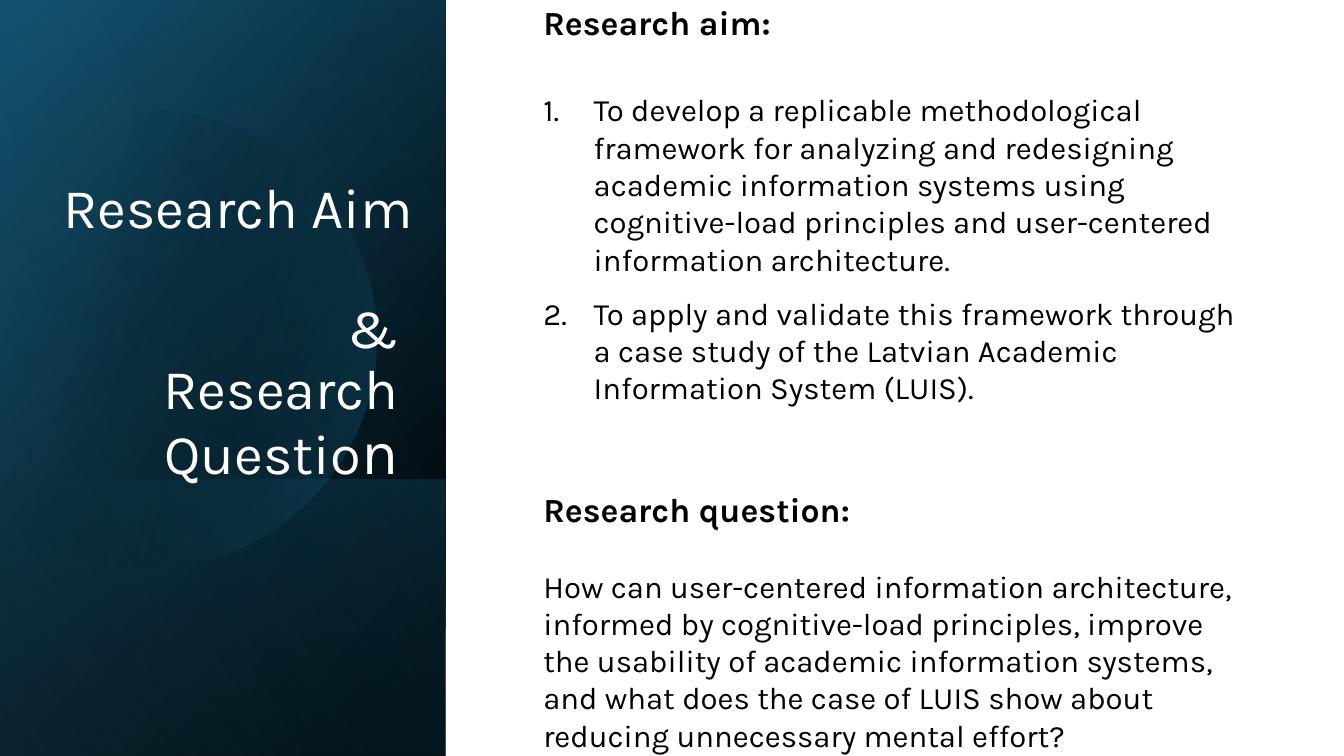
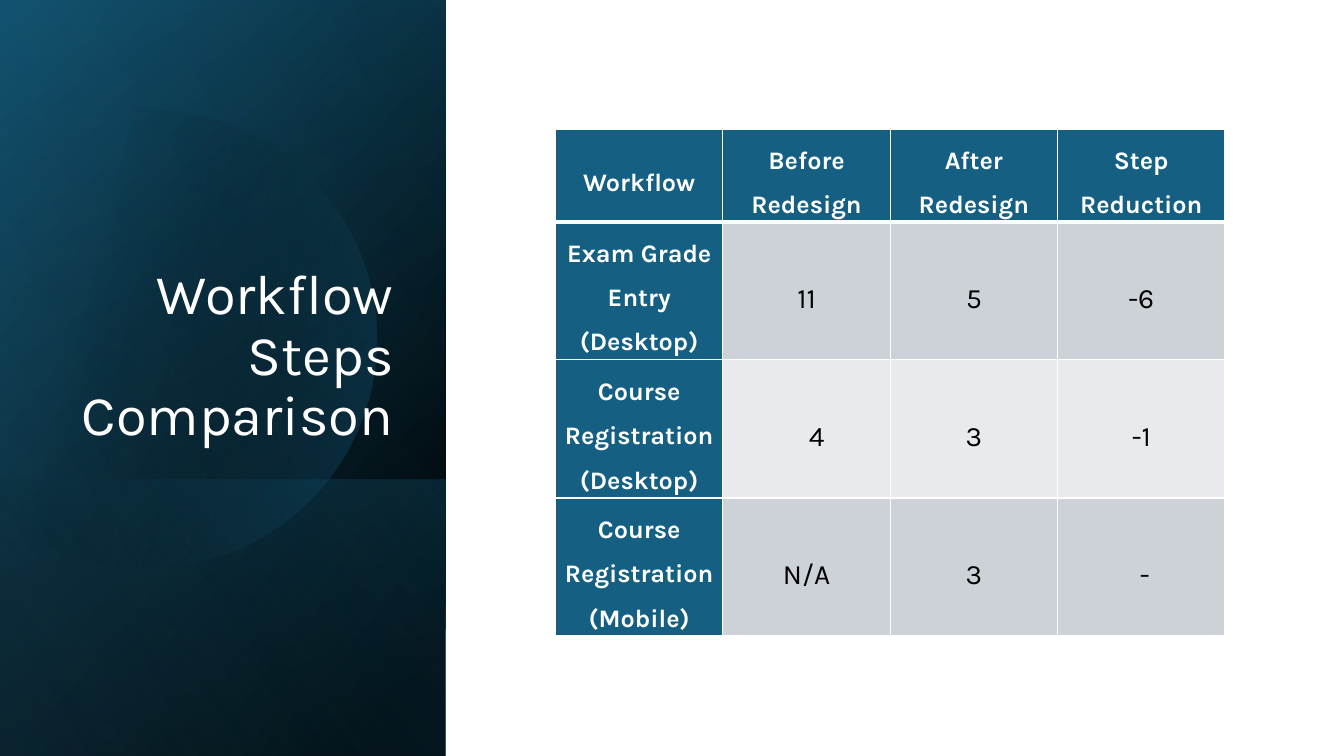
from dataclasses import dataclass
from math import cos, radians, sin

from lxml.etree import SubElement
from pptx import Presentation
from pptx.dml.color import RGBColor as RGB
from pptx.enum.shapes import MSO_SHAPE as Shape
from pptx.enum.text import MSO_ANCHOR as Anchor, PP_ALIGN as Align
from pptx.oxml.ns import qn
from pptx.util import Pt

PX = 9144  # 100 px to the inch


@dataclass(frozen=True)
class Theme:
    font: str = "Karla"
    black: str = "000000"
    white: str = "FFFFFF"
    navy: str = "104862"
    teal: str = "156082"
    sky: str = "46B1E1"
    bands: tuple = ("CCD2D8", "E8EAED")
    title: int = 40
    title_end: int = 44
    heading: float = 24.1
    body: float = 22.2
    label: int = 18
    value: int = 20


theme = Theme()


def write(paragraph, text, *, size, color=theme.black, bold=False, align=Align.LEFT,
          line=None, before=0, indent=None, numbered=False):
    """Add a run to the paragraph; indent maps margin attributes to px."""
    properties = paragraph._p.get_or_add_pPr()
    for name, length in (indent or {}).items():
        properties.set(name, str(length * PX))
    if numbered:
        SubElement(properties, qn("a:buAutoNum"), type="arabicPeriod")
    paragraph.alignment = align
    if line:
        paragraph.line_spacing = line
    if before:
        paragraph.space_before = Pt(before)
    run = paragraph.add_run()
    run.text = text
    run.font.name = theme.font
    run.font.size = Pt(size)
    run.font.bold = bold
    run.font.color.rgb = RGB.from_string(color)


def add_text_box(slide, box, anchor, entries):
    """Write (text, format) entries as paragraphs and return the last one."""
    frame = slide.shapes.add_textbox(*(length * PX for length in box)).text_frame
    frame.word_wrap = True
    frame.vertical_anchor = anchor
    for index, (text, style) in enumerate(entries):
        paragraph = frame.add_paragraph() if index else frame.paragraphs[0]
        write(paragraph, text, **style)
    return paragraph


presentation = Presentation()
presentation.slide_width = 1333 * PX
presentation.slide_height = 750 * PX
aim_slide, steps_slide = (
    presentation.slides.add_slide(presentation.slide_layouts[6]) for _ in range(2))

# Side panel: rectangles turned by 90 degrees and a disc cut off at the left
panel_box = (-154, 154, 750, 442)
lower_box = (84, 392, 274, 442)
panel_layers = [  # box, angle, stops of (position, color, opacity)
    (panel_box, 50, [(8, theme.black, 100), (100, theme.navy, 100)]),
    (panel_box, 30, [(0, theme.black, 0), (99, theme.teal, 46)]),
    (lower_box, 130, [(2, theme.teal, 29), (100, theme.black, 30)]),
    (None, 14, [(29, theme.black, 0), (100, theme.teal, 43)]),
    (panel_box, 120, [(0, theme.black, 0), (99, theme.sky, 11)]),
]
disc_x, disc_y, disc_radius = 146, 336, 227
disc_points = [((disc_x + disc_radius * cos(radians(degree))) * PX,
                (disc_y + disc_radius * sin(radians(degree))) * PX)
               for degree in range(-135, 136, 3)]

for slide in (aim_slide, steps_slide):
    for box, angle, stops in panel_layers:
        if box:
            shape = slide.shapes.add_shape(Shape.RECTANGLE, *(length * PX for length in box))
            shape.rotation = 90
            shape.element.spPr.find(qn("a:xfrm")).set("flipH", "1")
        else:
            builder = slide.shapes.build_freeform(*disc_points[0])
            builder.add_line_segments(disc_points[1:], close=True)
            shape = builder.convert_to_shape()
        shape.shadow.inherit = False
        shape.fill.gradient()
        shape.fill.gradient_angle = 360 - angle
        for stop, (position, color, _) in zip(shape.fill.gradient_stops, stops):
            stop.position = position / 100
            stop.color.rgb = RGB.from_string(color)
        for element, (_, _, opacity) in zip(shape.element.spPr.iter(qn("a:srgbClr")), stops):
            SubElement(element, qn("a:alpha"), val=str(opacity * 1000))
        shape.line.fill.background()

# Research aim and question
title_style = dict(size=theme.title, color=theme.white, align=Align.RIGHT, line=0.9)
heading_style = dict(size=theme.heading, bold=True)
body_style = dict(size=theme.body)
item_style = dict(size=theme.body, numbered=True, indent={"marL": 50, "indent": -50})

last_line = add_text_box(aim_slide, (42, 210, 377, 279), Anchor.BOTTOM, [
    ("Research Aim", title_style),
    ("&", title_style | dict(before=43, indent={"marR": 14})),
    ("Research Questio", title_style),
])
write(last_line, "n", **title_style | dict(size=theme.title_end))

add_text_box(aim_slide, (529, 71, 714, 607), Anchor.MIDDLE, [
    ("Research aim:", heading_style),
    ("To develop a replicable methodological framework for analyzing and redesigning "
     "academic information systems using cognitive-load principles and user-centered "
     "information architecture.", item_style | dict(before=35)),
    ("To apply and validate this framework through a case study of the Latvian Academic "
     "Information System (LUIS).", item_style | dict(before=12)),
    ("Research question:", heading_style | dict(before=59)),
    ("How can user-centered information architecture, informed by cognitive-load "
     "principles, improve the usability of academic information systems, and what does "
     "the case of LUIS show about reducing unnecessary mental effort?",
     body_style | dict(before=27)),
])

# Workflow steps
add_text_box(steps_slide, (50, 252, 350, 197), Anchor.BOTTOM,
             [("Workflow Steps Comparison", title_style)])

step_rows = [
    ("Workflow", "Before Redesign", "After Redesign", "Step Reduction"),
    ("Exam Grade Entry (Desktop)", "11", "5", "-6"),
    ("Course Registration (Desktop)", "4", "3", "-1"),
    ("Course Registration (Mobile)", "N/A", "3", "-"),
]
value_shifts = {"4": 20, "-": 7}
column_width, header_height, row_height = 166, 90, 134
table = steps_slide.shapes.add_table(
    len(step_rows), 4, 551 * PX, 128 * PX, 4 * column_width * PX,
    (header_height + 3 * row_height) * PX).table
table.first_row = table.horz_banding = False
for column in table.columns:
    column.width = column_width * PX

for row_index, texts in enumerate(step_rows):
    table.rows[row_index].height = (row_height if row_index else header_height) * PX
    for column_index, text in enumerate(texts):
        cell = table.cell(row_index, column_index)
        is_label = row_index == 0 or column_index == 0
        cell.vertical_anchor = Anchor.MIDDLE
        cell.margin_left = (1 + value_shifts.get(text, 0)) * PX
        cell.margin_right = cell.margin_top = cell.margin_bottom = PX
        for side in ("lnL", "lnR", "lnT", "lnB"):
            under_header = (row_index, side) in ((0, "lnB"), (1, "lnT"))
            border = SubElement(cell._tc.get_or_add_tcPr(), qn(f"a:{side}"),
                                w=str(Pt(3 if under_header else 1)))
            border_fill = SubElement(border, qn("a:solidFill"))
            SubElement(border_fill, qn("a:srgbClr"), val=theme.white)
        cell.fill.solid()
        cell.fill.fore_color.rgb = RGB.from_string(
            theme.teal if is_label else theme.bands[(row_index - 1) % 2])
        write(cell.text_frame.paragraphs[0], text, align=Align.CENTER, line=1.5,
              size=theme.label if is_label else theme.value, bold=is_label,
              color=theme.white if is_label else theme.black)

presentation.save("out.pptx")
